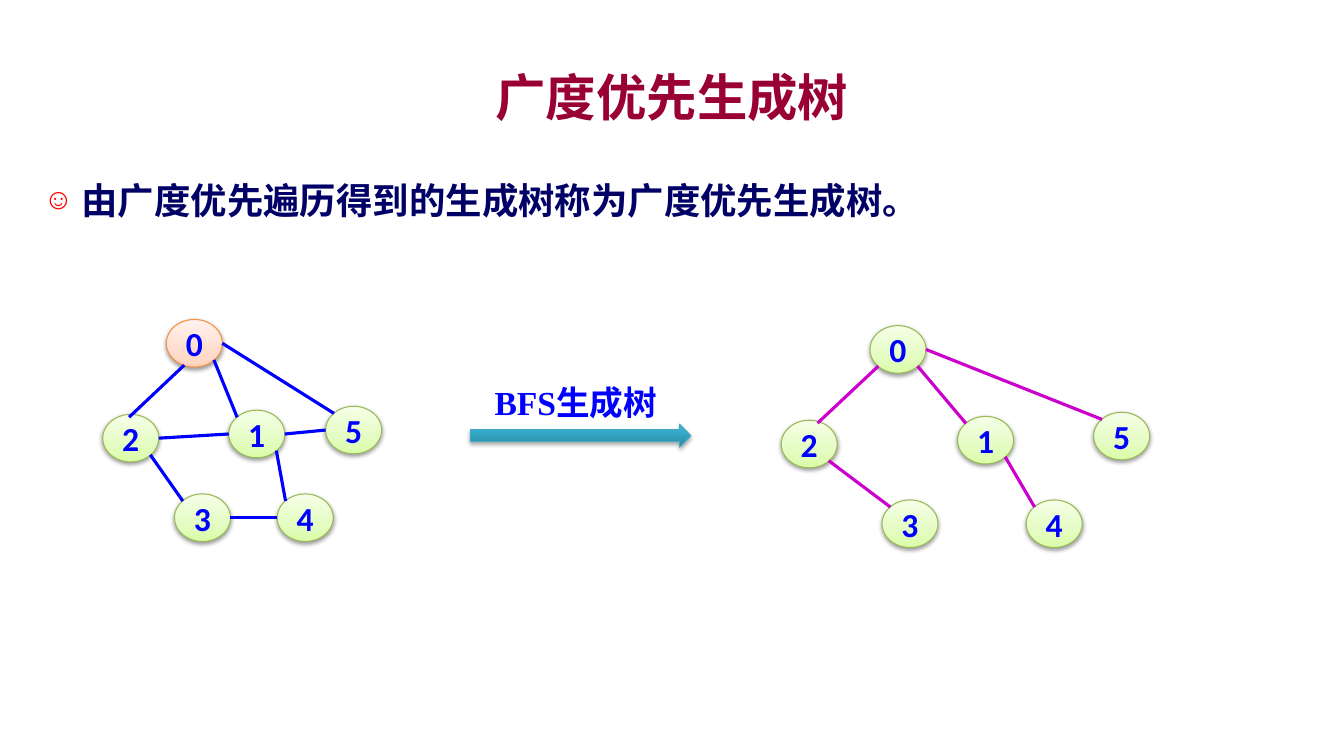
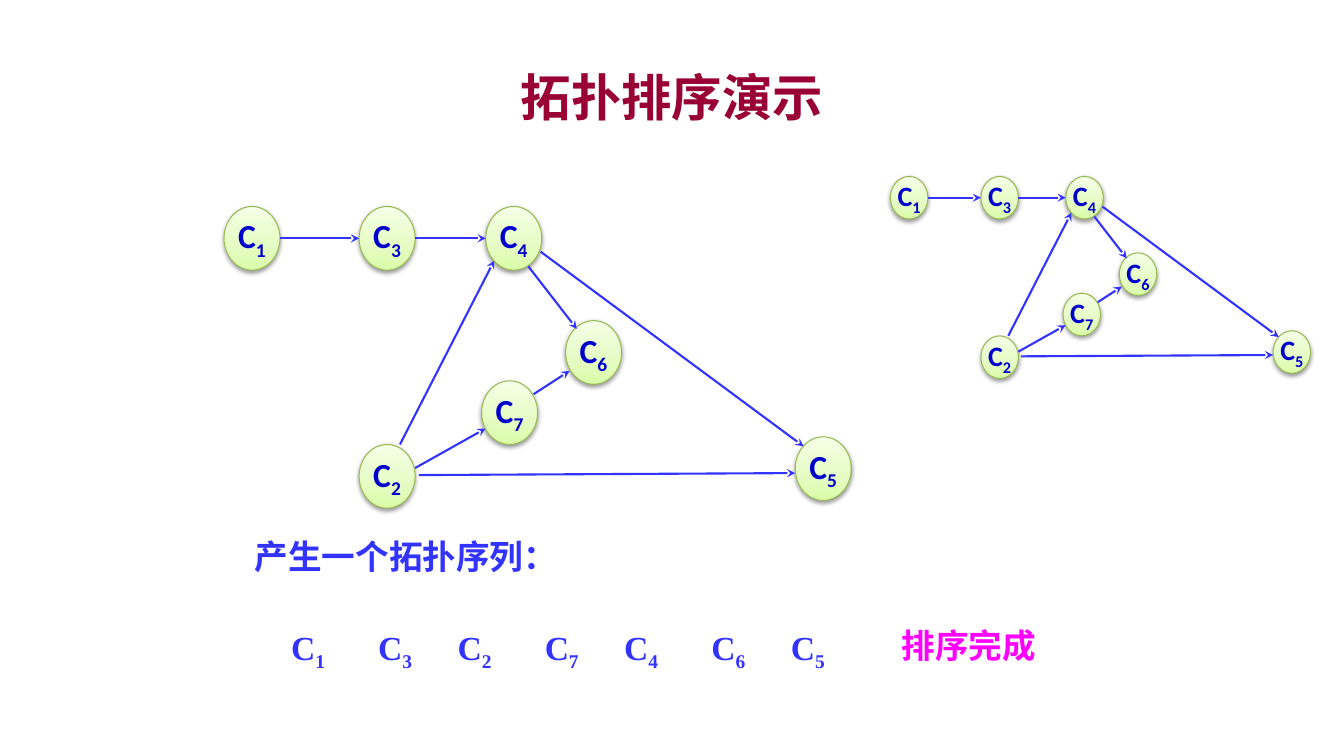
"""Build two slides on graphs: a breadth-first tree and a topological sort."""
from dataclasses import dataclass

from lxml import etree
from pptx import Presentation
from pptx.dml.color import RGBColor
from pptx.enum.shapes import MSO_CONNECTOR, MSO_SHAPE
from pptx.enum.text import MSO_ANCHOR, MSO_AUTO_SIZE, PP_ALIGN
from pptx.oxml.ns import qn
from pptx.util import Pt

OVAL = MSO_SHAPE.OVAL
ARROW = MSO_SHAPE.RIGHT_ARROW
STRAIGHT = MSO_CONNECTOR.STRAIGHT
MIDDLE = MSO_ANCHOR.MIDDLE
TOP = MSO_ANCHOR.TOP
CENTER = PP_ALIGN.CENTER
LEFT = PP_ALIGN.LEFT
NO_FIT = MSO_AUTO_SIZE.NONE


@dataclass(frozen=True)
class Theme:
    """Colours, fonts and type sizes of the deck."""
    title: str = "990033"
    body: str = "000066"
    bullet: str = "FF0000"
    blue: str = "0000FF"
    navy: str = "0000CC"
    link: str = "3333FF"
    tree: str = "CC00CC"
    done: str = "FF00FF"
    green: tuple = ("98B955", ((0, "DAFDA7"), (35, "E4FCC2"), (100, "F5FFE7")))
    orange: tuple = ("F69240", ((0, "FFD2BD"), (35, "FFDED0"), (100, "FFF2ED")))
    teal: tuple = ("46AAC5", ((0, "2A88A2"), (80, "37B1D2"), (100, "34B4D6")))
    cjk: str = "Noto Sans CJK SC"
    sans: str = "Calibri"
    serif: str = "Times New Roman"
    head: int = 36
    lead: int = 26
    text: int = 24
    small: int = 20


THEME = Theme()

DIAG = 0.15
SITES = {
    "L": (0, 0.5), "R": (1, 0.5),
    "TL": (DIAG, DIAG), "BL": (DIAG, 1 - DIAG), "BR": (1 - DIAG, 1 - DIAG),
}

GRAPH = {"0": (118.8, 228.2), "1": (163.4, 293), "2": (73.4, 296),
         "3": (124.6, 352.8), "4": (198, 352.8), "5": (232.6, 290.2)}
GRAPH_EDGES = [
    ("0", (0.32, 0.96), "2", (0.47, 0.06)), ("2", "BR", "3", "TL"),
    ("0", "BR", "1", "TL"), ("2", "R", "1", "L"), ("1", "R", "5", "L"),
    ("1", "BR", "4", "TL"), ("3", "R", "4", "L"), ("0", "R", "5", "TL"),
]
TREE = {"0": (621.4, 232.6), "1": (684, 297.4), "2": (558, 300.2),
        "3": (630, 357.1), "4": (733, 357.1), "5": (781.2, 294.5)}
TREE_EDGES = [
    ("0", "BL", "2", (0.65, 0.06)), ("2", "BR", "3", "TL"),
    ("0", "BR", "1", "TL"), ("1", "BR", "4", "TL"), ("0", "R", "5", "TL"),
]
COURSES = {"C1": (0, 0), "C3": (96.5, 0), "C4": (187, 0), "C2": (96.5, 170),
           "C7": (184, 124.5), "C6": (244, 81.5), "C5": (408, 164.5)}
COURSE_EDGES = [
    ("C1", "R", "C3", "L"), ("C3", "R", "C4", "L"),
    ("C2", (0.73, 0), "C4", "BL"), ("C2", (1, 0.37), "C7", (0.07, 0.75)),
    ("C7", (0.93, 0.21), "C6", (0.07, 0.79)),
    ("C4", (0.98, 0.71), "C5", "TL"), ("C2", (1.07, 0.48), "C5", (0, 0.57)),
    ("C4", (0.76, 0.94), "C6", (0.2, 0.13)),
]
ORDER = ["C1", "C3", "C2", "C7", "C4", "C6", "C5"]


def rgb(code):
    """Turn a hex code into a colour."""
    return RGBColor.from_string(code)


def child(parent, tag, **attrs):
    """Append a DrawingML element with its attributes."""
    node = etree.SubElement(parent, qn(tag))
    for key, value in attrs.items():
        node.set(key, str(value))
    return node


def add_run(para, text, size, color, font, sub=False):
    """Add one bold run, lowered if it is a subscript."""
    run = para.add_run()
    run.text = text
    run.font.size = Pt(size)
    run.font.bold = True
    run.font.name = font
    run.font.color.rgb = rgb(color)
    props = run._r.get_or_add_rPr()
    child(props, "a:ea", typeface=THEME.cjk)
    if sub:
        props.set("baseline", "-25000")


def add_label(para, name, size, color, font):
    """Write a name whose digits after the first letter are lowered."""
    para.alignment = CENTER
    add_run(para, name[0], size, color, font)
    if name[1:]:
        add_run(para, name[1:], size, color, font, sub=True)


def place(shape, left, top, width, height):
    """Move and size a shape in points."""
    shape.left, shape.top = Pt(left), Pt(top)
    shape.width, shape.height = Pt(width), Pt(height)


def add_title(slide, text):
    """Fill the title placeholder."""
    title = slide.shapes.title
    place(title, 72, 42, 816, 54)
    frame = title.text_frame
    frame.auto_size = NO_FIT
    frame.vertical_anchor = MIDDLE
    para = frame.paragraphs[0]
    para.alignment = CENTER
    add_run(para, text, THEME.head, THEME.title, THEME.cjk)


def add_body(slide, text):
    """Fill the body placeholder with one bulleted line."""
    body = slide.placeholders[1]
    place(body, 24, 108, 912, 66)
    frame = body.text_frame
    frame.auto_size = NO_FIT
    frame.vertical_anchor = TOP
    para = frame.paragraphs[0]
    props = para._p.get_or_add_pPr()
    props.set("marL", str(Pt(27)))
    props.set("indent", str(Pt(-27)))
    child(child(props, "a:buClr"), "a:srgbClr", val=THEME.bullet)
    child(props, "a:buSzPct", val=80000)
    child(props, "a:buChar", char="☺")
    para.alignment = LEFT
    para.line_spacing = 1.5
    para.space_before = Pt(0)
    para.space_after = Pt(6)
    add_run(para, text, THEME.lead, THEME.body, THEME.cjk)


def add_solid(shapes, kind, box, look, alpha):
    """Add a shape with a gradient, a thin outline and a soft shadow."""
    shape = shapes.add_shape(kind, *map(Pt, box))
    edge, stops = look
    shape.fill.gradient()
    shape.fill.gradient_angle = 90
    props = shape.element.spPr
    ramp = props.find(".//" + qn("a:gsLst"))
    ramp.clear()
    for share, color in stops:
        stop = child(ramp, "a:gs", pos=share * 1000)
        child(stop, "a:srgbClr", val=color)
    shape.line.color.rgb = rgb(edge)
    shape.line.width = Pt(0.75)
    shape.shadow.inherit = False
    glow = child(props.find(qn("a:effectLst")), "a:outerShdw", blurRad=Pt(3.1),
                 dist=Pt(1.6), dir=5400000, rotWithShape=0)
    child(child(glow, "a:srgbClr", val="000000"), "a:alpha", val=alpha * 1000)
    return shape


def add_node(shapes, name, box, look, size, color):
    """Add a round node with its label."""
    frame = add_solid(shapes, OVAL, box, look, 38).text_frame
    frame.word_wrap = False
    frame.vertical_anchor = MIDDLE
    add_label(frame.paragraphs[0], name, size, color, THEME.sans)


def add_edge(shapes, start, end, color, width, tip):
    """Add a straight line, with an arrowhead if wanted."""
    line = shapes.add_connector(STRAIGHT, *map(Pt, start + end))
    line.line.color.rgb = rgb(color)
    line.line.width = Pt(width)
    props = line.element.spPr
    if tip:
        child(props.find(qn("a:ln")), "a:tailEnd", type="stealth")
    child(props, "a:effectLst")


def add_graph(slide, nodes, edges, span, ink, link, width,
              size=THEME.text, origin=(0, 0), scale=1, tip=False, root=None):
    """Draw a grouped graph from node corners and edge sites."""
    shapes = slide.shapes.add_group_shape().shapes
    wide, high = span

    def spot(name, site):
        """Find a point on a node from its site or its shares."""
        across, down = SITES.get(site, site)
        left, top = nodes[name]
        return (origin[0] + scale * (left + across * wide),
                origin[1] + scale * (top + down * high))

    for name in nodes:
        box = spot(name, (0, 0)) + (scale * wide, scale * high)
        look = THEME.orange if name == root else THEME.green
        add_node(shapes, name, box, look, size, ink)
    for first, out, last, into in edges:
        add_edge(shapes, spot(first, out), spot(last, into), link, width, tip)


def add_box(slide, box, inset=True):
    """Add a text box and return its centred paragraph."""
    frame = slide.shapes.add_textbox(*map(Pt, box)).text_frame
    frame.word_wrap = True
    if not inset:
        frame.margin_left = frame.margin_right = Pt(0)
        frame.margin_top = frame.margin_bottom = Pt(0)
    para = frame.paragraphs[0]
    para.alignment = CENTER
    return para


def add_note(slide, text, box, color):
    """Add a short centred note."""
    add_run(add_box(slide, box), text, THEME.text, color, THEME.serif)


def build_tree(deck):
    """Build the slide on the breadth-first tree."""
    slide = deck.slides.add_slide(deck.slide_layouts[1])
    add_title(slide, "广度优先生成树")
    add_body(slide, "由广度优先遍历得到的生成树称为广度优先生成树。")
    span = (40, 34)
    add_graph(slide, GRAPH, GRAPH_EDGES, span, THEME.blue, THEME.blue, 2.25,
              root="0")
    add_solid(slide.shapes, ARROW, (336, 303, 157.5, 16.5), THEME.teal, 35)
    add_note(slide, "BFS生成树", (320.5, 269, 181.5, 65.5), THEME.blue)
    add_graph(slide, TREE, TREE_EDGES, span, THEME.blue, THEME.tree, 2.25)


def build_sort(deck):
    """Build the slide on the topological sort."""
    slide = deck.slides.add_slide(deck.slide_layouts[5])
    add_title(slide, "拓扑排序演示")
    views = [((160, 147.5), 1, THEME.text), ((636, 126), 0.67, THEME.small)]
    for origin, scale, size in views:
        add_graph(slide, COURSES, COURSE_EDGES, (40, 45.5), THEME.navy,
                  THEME.link, 1.5, size, origin, scale, tip=True)
    add_note(slide, "产生一个拓扑序列：", (154, 379.5, 272, 36), THEME.link)
    for index, name in enumerate(ORDER):
        pair, odd = divmod(index, 2)
        box = (194.5 + 119 * pair + 62.25 * odd, 447.5, 51, 29)
        add_label(add_box(slide, box, inset=False), name, THEME.text,
                  THEME.link, THEME.serif)
    add_note(slide, "排序完成", (624, 443, 136, 36), THEME.done)


def main():
    """Build and save the deck."""
    deck = Presentation()
    deck.slide_width, deck.slide_height = Pt(960), Pt(540)
    build_tree(deck)
    build_sort(deck)
    deck.save("out.pptx")


if __name__ == "__main__":
    main()
